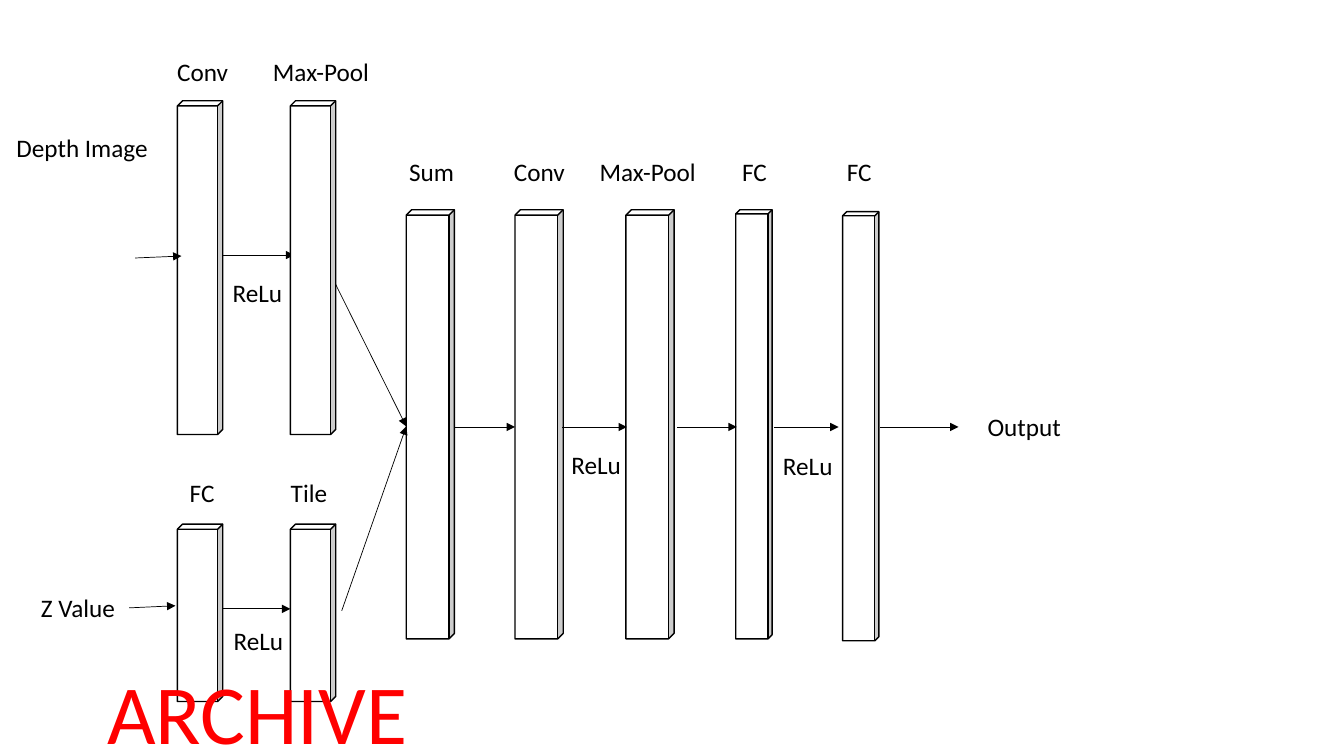
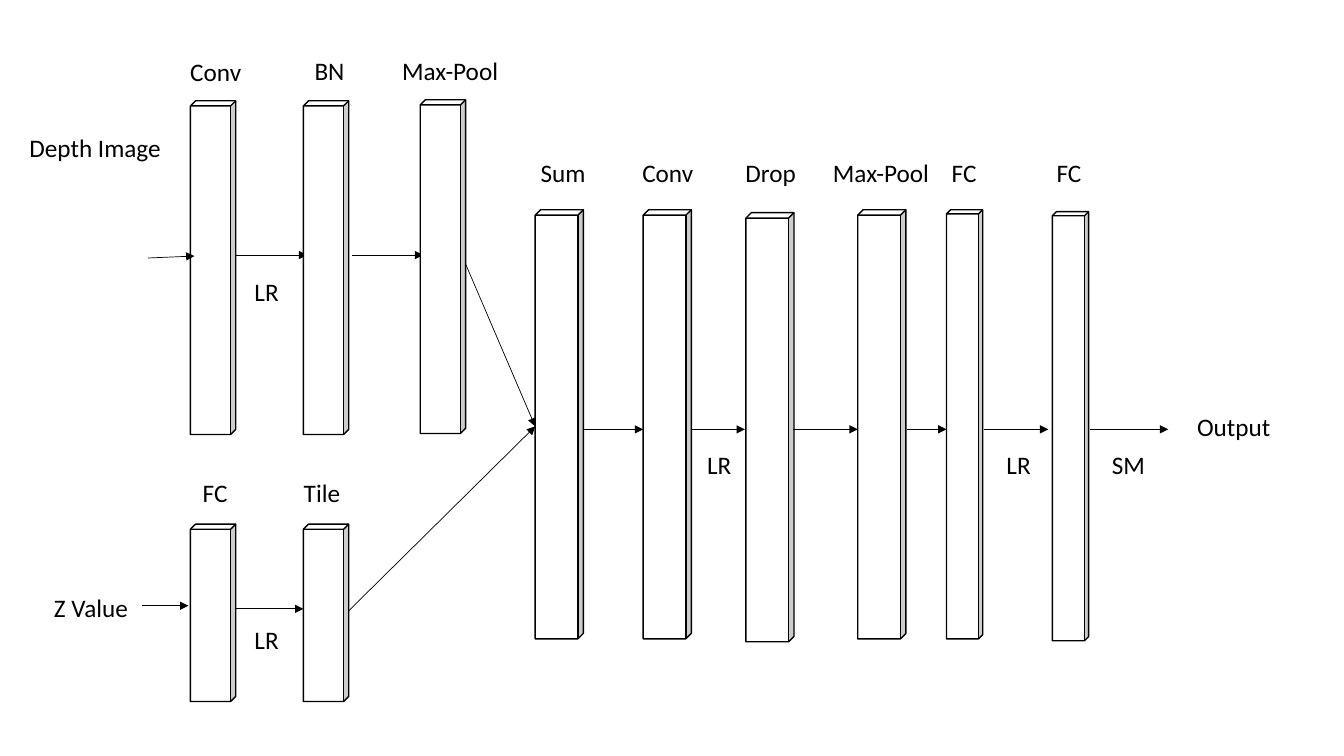
from lxml import etree
from pptx import Presentation
from pptx import util as u
from pptx.dml.color import RGBColor
from pptx.enum import shapes, text
from pptx.oxml.ns import qn

COLORS = {"ink": "000000", "block": "FFFFFF", "archive": "FF0000"}
FONT = "Calibri"
LEFT, CENTER = text.PP_ALIGN.LEFT, text.PP_ALIGN.CENTER

SHORT, WIDE, SIDE = 51.1, 86.4, 114.5  # label widths
THIN, THICK = 25.9, 34.4  # trunk block widths
TOP, TALL = 149.8, 306.5  # trunk block top and height
BRANCH_W, DEPTH_H, Z_H = 32.4, 238.4, 126.7
JOIN_Y = 304.6


def rgb(name):
    return RGBColor.from_string(COLORS[name])


def add_block(s, x, y, w, h):
    sp = s.shapes.add_shape(shapes.MSO_SHAPE.CUBE, u.Pt(x), u.Pt(y), u.Pt(w), u.Pt(h))
    sp.adjustments[0] = 0.113
    sp.shadow.inherit = False
    sp.fill.solid()
    sp.fill.fore_color.rgb = rgb("block")
    sp.line.color.rgb = rgb("ink")
    sp.line.width = u.Pt(1)


def add_label(s, words, x, y, w, align=CENTER, size=18, color="ink", h=29):
    sp = s.shapes.add_textbox(u.Pt(x), u.Pt(y), u.Pt(w), u.Pt(h))
    tf = sp.text_frame
    tf.word_wrap = True
    tf.auto_size = text.MSO_AUTO_SIZE.SHAPE_TO_FIT_TEXT
    tf.text = words
    p = tf.paragraphs[0]
    p.alignment = align
    r = p.runs[0]
    r.font.name = FONT
    r.font.size = u.Pt(size)
    r.font.color.rgb = rgb(color)


def add_arrow(s, x1, y1, x2, y2):
    cx = s.shapes.add_connector(shapes.MSO_CONNECTOR.STRAIGHT,
                                u.Pt(x1), u.Pt(y1), u.Pt(x2), u.Pt(y2))
    cx.line.color.rgb = rgb("ink")
    cx.line.width = u.Pt(0.5)
    etree.SubElement(cx.line._get_or_add_ln(), qn("a:tailEnd"), type="triangle")
    etree.SubElement(cx._element.spPr, qn("a:effectLst"))


def add_trunk(s, blocks, arrows, arrow_y, label_y):
    """Draw the layers after the two branches meet, left to right."""
    for name, x, y, w, label_x, label_w, align in blocks:
        add_block(s, x, y, w, TALL)
        add_label(s, name, label_x, label_y, label_w, align)
    for x1, x2 in arrows:
        add_arrow(s, x1, arrow_y, x2, arrow_y)


def add_branches(s, dx, second_layer, z_start_y):
    """Draw the depth and Z inputs, moved right by dx."""
    first_x, second_x = 126.7 + dx, 207.4 + dx
    add_block(s, first_x, 72, BRANCH_W, DEPTH_H)
    add_block(s, first_x, 374.4, BRANCH_W, Z_H)
    for x1, y1, x2, y2 in [(96.5, 184.3, 129.6, 182.9), (159.1, 182.2, 210.2, 182.2),
                           (92.2, z_start_y, 125.3, 432.7), (158.4, 434.9, 207.4, 434.9)]:
        add_arrow(s, x1 + dx, y1, x2 + dx, y2)
    add_block(s, second_x, 72, BRANCH_W, DEPTH_H)
    add_block(s, second_x, 374.4, BRANCH_W, Z_H)
    for words, x, y, w, align in [("Depth Image", 1.4, 90.7, SIDE, CENTER),
                                  ("Z Value", -1.6, 419.8, SIDE, CENTER),
                                  ("Conv", 119.5, 36.4, SHORT, LEFT),
                                  ("FC", 118.8, 337.7, SHORT, CENTER),
                                  ("Tile", 195.1, 337.7, SHORT, CENTER)]:
        add_label(s, words, x + dx, y, w, align)
    add_label(s, *second_layer)


def build_relu_network(s):
    add_trunk(s, [("Sum", 290.2, TOP, THICK, 285.1, SHORT, LEFT),
                  ("Conv", 367.9, TOP, THICK, 360, SHORT, LEFT),
                  ("Max-Pool", 447.1, TOP, THICK, 421.2, WIDE, LEFT),
                  ("FC", 525.6, TOP, THIN, 513.4, SHORT, CENTER),
                  ("FC", 601.9, 151.2, THIN, 588.2, SHORT, CENTER)],
              [(324.7, 367.9), (401.8, 447.8), (483.8, 526.3), (553, 599), (628.6, 684.7)],
              arrow_y=305, label_y=108)
    add_arrow(s, 230.4, 184.3, 290.2, JOIN_Y)
    add_arrow(s, 244.1, 436.3, 290.2, JOIN_Y)
    add_branches(s, 0, ("Max-Pool", 187.9, 36.7, WIDE, LEFT), 434.2)
    for x, y in [(159.1, 194.4), (159.8, 442.8), (401, 317.5), (552.2, 318.2)]:
        add_label(s, "ReLu", x, y, SHORT, LEFT)
    add_label(s, "Output", 679, 290.2, 105.1)
    add_label(s, "ARCHIVE", 36, 468, 295.9, size=60, color="archive", h=80)


def build_lr_network(s):
    add_trunk(s, [("Sum", 382.3, TOP, THICK, 376.6, SHORT, CENTER),
                  ("Conv", 459.4, TOP, THICK, 451.4, SHORT, CENTER),
                  ("Drop", 532.8, 151.9, THICK, 524.9, SHORT, CENTER),
                  ("Max-Pool", 612.7, TOP, THICK, 586.1, WIDE, CENTER),
                  ("FC", 676.1, TOP, THIN, 663.1, SHORT, CENTER),
                  ("FC", 751.7, 151.2, THIN, 738, SHORT, CENTER)],
              [(416.9, 459.4), (493.9, 532.1), (566.6, 612.7),
               (648, 676.1), (702.7, 748.8), (778.3, 834.5)],
              arrow_y=306.7, label_y=108.7)
    add_arrow(s, 332.6, 188.6, 382.3, JOIN_Y)
    add_arrow(s, 249.1, 436.3, 382.3, JOIN_Y)
    add_branches(s, 9.3, ("BN", 192.2, 36, WIDE), 432.7)
    add_arrow(s, 251.3, 182.2, 302.4, 182.2)
    add_block(s, 300.2, 71.3, BRANCH_W, DEPTH_H)
    add_label(s, "Max-Pool", 280.1, 36, WIDE, LEFT)
    for words, x, y in [("LR", 164.9, 193.7), ("LR", 164.9, 442.1), ("LR", 488.2, 317.5),
                        ("LR", 702, 317.5), ("SM", 780.5, 317.5)]:
        add_label(s, words, x, y, SHORT)
    add_label(s, "Output", 828.7, 290.2, 105.1)


def main():
    prs = Presentation()
    prs.slide_width, prs.slide_height = u.Pt(960), u.Pt(540)
    blank = prs.slide_layouts[6]
    for build in (build_relu_network, build_lr_network):
        build(prs.slides.add_slide(blank))
    prs.save("out.pptx")


if __name__ == "__main__":
    main()
